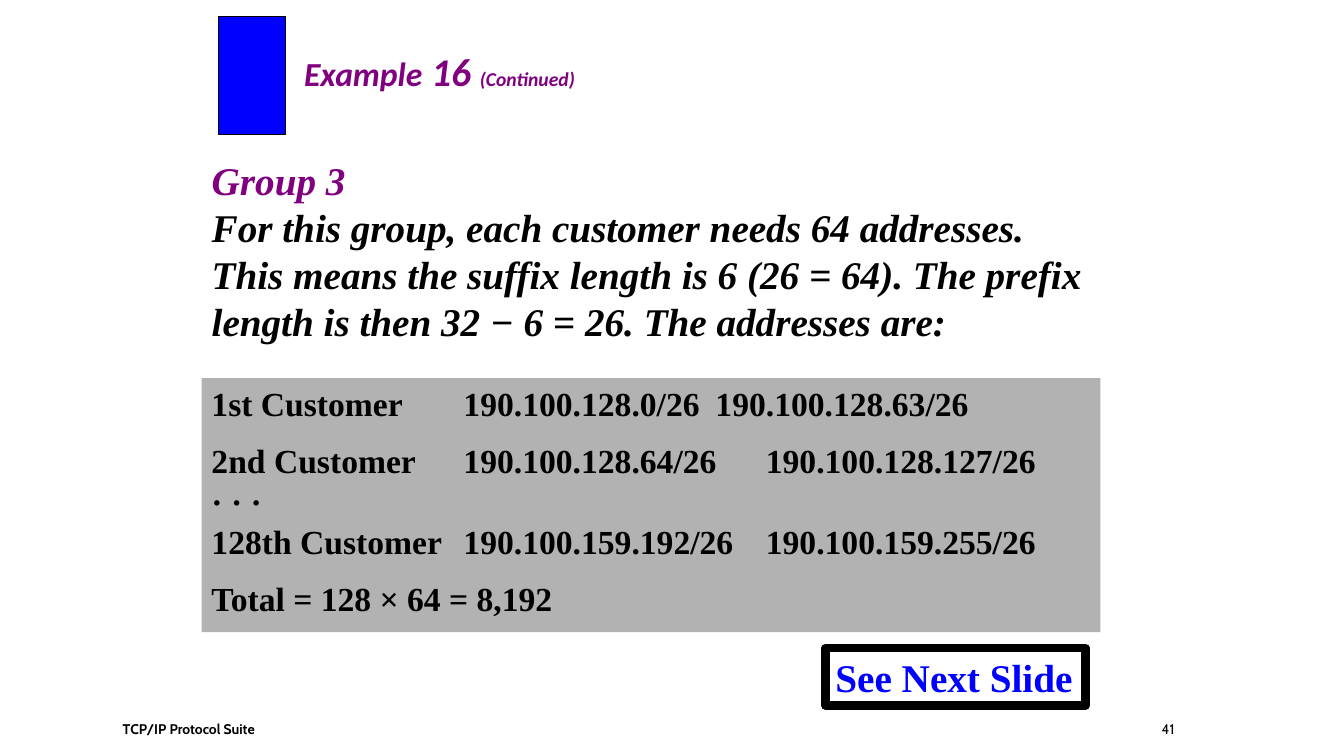
from pptx import Presentation
from pptx.dml.color import RGBColor
from pptx.enum.shapes import MSO_SHAPE
from pptx.enum.text import MSO_ANCHOR, MSO_AUTO_SIZE, PP_ALIGN
from pptx.oxml.ns import qn
from pptx.util import Pt
from lxml.etree import SubElement

SERIF = "Times New Roman"
PURPLE, BLUE, BLACK, GRAY = "800080", "0000FF", "000000", "B2B2B2"


def paint(target, color):
    """Give a fill a solid colour."""
    target.solid()
    target.fore_color.rgb = RGBColor.from_string(color)


def style(font, name, size, color, bold=True, italic=False):
    """Set the look of a paragraph or run font."""
    font.name, font.size, font.bold, font.italic = name, Pt(size), bold, italic
    paint(font.fill, color)


def place(shape, box):
    """Move a shape to a box of left, top, width and height."""
    shape.left, shape.top, shape.width, shape.height = map(Pt, box)


def prepare(shape, anchor=MSO_ANCHOR.TOP, wrap=True):
    """Set up a text frame and return it."""
    frame = shape.text_frame
    frame.word_wrap = wrap
    frame.auto_size = MSO_AUTO_SIZE.NONE
    frame.vertical_anchor = anchor
    frame.margin_left = frame.margin_right = Pt(7.2)
    frame.margin_top = frame.margin_bottom = Pt(3.6)
    return frame


def add_rectangle(page, box, fill=None, line=None, width=0.75):
    """Add a plain rectangle without shadow."""
    shape = page.shapes.add_shape(MSO_SHAPE.RECTANGLE, *map(Pt, box))
    shape.shadow.inherit = False
    if fill:
        paint(shape.fill, fill)
    else:
        shape.fill.background()
    if line:
        paint(shape.line.fill, line)
        shape.line.width = Pt(width)
    else:
        shape.line.fill.background()
    return shape


def add_heading(page, box):
    """Place the blue block and the title to its right."""
    left, top, width, height = box
    add_rectangle(page, (left, top, 48, height), BLUE, BLACK)
    title = page.shapes.title
    place(title, (left + 54, top + 18, width - 54, 41))
    para = prepare(title).paragraphs[0]
    para.alignment = PP_ALIGN.LEFT
    for words, size in (("Example", 24), (" 16 ", 28), ("(Continued)", 14)):
        span = para.add_run()
        span.text = words
        style(span.font, "Calibri", size, PURPLE, italic=True)


def add_explanation(page, box):
    """Fill the body with the group name and its explanation."""
    body = page.placeholders[1]
    place(body, box)
    para = prepare(body).paragraphs[0]
    properties = para._p.get_or_add_pPr()
    properties.set("marL", "0")
    properties.set("indent", "0")
    SubElement(properties, qn("a:buNone"))
    para.space_before = Pt(0)
    group = para.add_run()
    group.text = "Group 3"
    style(group.font, SERIF, 28, PURPLE, italic=True)
    para.add_line_break()
    span = para.add_run()
    span.text = (
        "For this group, each customer needs 64 addresses. This means the suffix "
        "length is 6 (26 = 64). The prefix length is then 32 − 6 = 26. "
        "The addresses are:"
    )
    style(span.font, SERIF, 28, BLACK, italic=True)


def add_addresses(page, box):
    """List the address ranges on a gray panel."""
    frame = prepare(add_rectangle(page, box, GRAY))
    rows = (
        ("1st Customer\t190.100.128.0/26\t190.100.128.63/26", (180, 360)),
        ("2nd Customer\t190.100.128.64/26\t190.100.128.127/26\v· · ·\v"
         "128th Customer\t190.100.159.192/26\t190.100.159.255/26", (180, 396)),
        ("Total = 128 × 64 = 8,192", ()),
    )
    for index, (words, stops) in enumerate(rows):
        para = frame.add_paragraph() if index else frame.paragraphs[0]
        para.text = words
        para.alignment = PP_ALIGN.LEFT
        para.space_before = Pt(12 if index else 0)
        if stops:
            tabs = SubElement(para._p.get_or_add_pPr(), qn("a:tabLst"))
            for stop in stops:
                SubElement(tabs, qn("a:tab"), pos=str(Pt(stop)), algn="l")
        style(para.font, SERIF, 24, BLACK)


def add_next_sign(page, box):
    """Add the framed pointer to the next slide."""
    sign = add_rectangle(page, box, line=BLACK, width=6)
    para = prepare(sign, wrap=False).paragraphs[0]
    para.text = "See Next Slide"
    para.alignment = PP_ALIGN.LEFT
    style(para.font, SERIF, 28, BLUE)


def add_footer(page, box):
    """Add the book name at the left and the page number at the right."""
    left, top, width, height = box
    half = width / 2
    parts = (
        (left, "TCP/IP Protocol Suite", PP_ALIGN.LEFT, True),
        (left + half, "41", PP_ALIGN.RIGHT, False),
    )
    for start, words, alignment, bold in parts:
        label = page.shapes.add_textbox(*map(Pt, (start, top, half, height)))
        para = prepare(label, MSO_ANCHOR.MIDDLE).paragraphs[0]
        para.text = words
        para.alignment = alignment
        style(para.font, "Cabin", 10, BLACK, bold)


def main():
    """Build the slide and save it."""
    deck = Presentation()
    deck.slide_width, deck.slide_height = Pt(960), Pt(540)
    page = deck.slides.add_slide(deck.slide_layouts[1])
    add_heading(page, (156, 12, 432, 84))
    add_explanation(page, (144, 108, 642, 142))
    add_addresses(page, (144, 270, 642, 181.5))
    add_next_sign(page, (589.7, 463, 185.8, 41))
    add_footer(page, (80.6, 509.8, 765.4, 21.6))
    deck.save("out.pptx")


if __name__ == "__main__":
    main()
